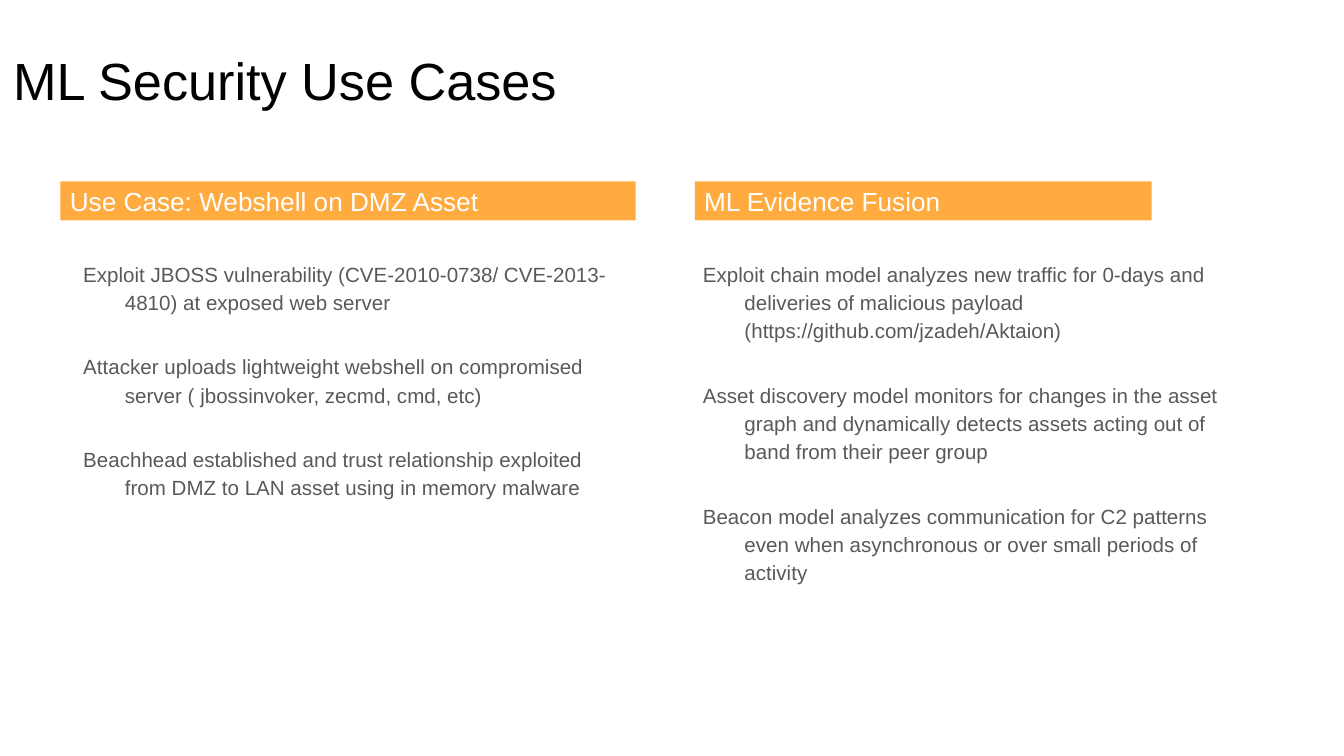
from pptx import Presentation
from pptx.dml.color import RGBColor
from pptx.enum.shapes import MSO_SHAPE
from pptx.enum.text import MSO_ANCHOR, PP_ALIGN
from pptx.util import Inches, Pt


def rgb(value):
    return RGBColor.from_string(value)


def add_run(p, text, size, color):
    r = p.add_run()
    r.text = text
    r.font.name = "Arial"
    r.font.size = Pt(size)
    r.font.color.rgb = rgb(color)


# 16:9 slide
prs = Presentation()
prs.slide_width = Inches(10)
prs.slide_height = Inches(10 * 9 / 16)
s = prs.slides.add_slide(prs.slide_layouts[6])

# Title
tf = s.shapes.add_textbox(Inches(0), Inches(0.26), Inches(10), Inches(0.52)).text_frame
tf.word_wrap = True
tf.margin_left = tf.margin_right = tf.margin_top = tf.margin_bottom = Inches(0.1)
add_run(tf.paragraphs[0], "ML Security Use Cases", 28, "000000")

# Columns: header left, header width, body left, header text, body paragraphs
columns = [
    (0.45, 4.28, 0.56, "Use Case: Webshell on DMZ Asset", [
        "Exploit JBOSS vulnerability (CVE-2010-0738/ CVE-2013-4810) at exposed web server",
        "Attacker uploads lightweight webshell on compromised server ( jbossinvoker, zecmd, cmd, etc)",
        "Beachhead established and trust relationship exploited from DMZ to LAN asset using in memory malware",
    ]),
    (5.17, 3.4, 5.17, "ML Evidence Fusion", [
        "Exploit chain model analyzes new traffic for 0-days and deliveries of malicious payload (https://github.com/jzadeh/Aktaion)",
        "Asset discovery model monitors for changes in the asset graph and dynamically detects assets acting out of band from their peer group",
        "Beacon model analyzes communication for C2 patterns even when asynchronous or over small periods of activity",
    ]),
]

for header_left, header_width, body_left, header, items in columns:
    # Header bar
    sp = s.shapes.add_shape(MSO_SHAPE.RECTANGLE, Inches(header_left), Inches(1.35),
                            Inches(header_width), Inches(0.29))
    sp.shadow.inherit = False
    sp.fill.solid()
    sp.fill.fore_color.rgb = rgb("FFAB40")
    sp.line.fill.background()
    sp.text_frame.vertical_anchor = MSO_ANCHOR.MIDDLE
    p = sp.text_frame.paragraphs[0]
    p.alignment = PP_ALIGN.LEFT
    p._p.get_or_add_pPr().set("marL", str(Inches(0.01)))
    add_run(p, header, 14, "FFFFFF")

    # Body text with hanging indent
    body = s.shapes.add_textbox(Inches(body_left), Inches(1.89), Inches(4.03), Inches(3.09))
    for tf in (sp.text_frame, body.text_frame):
        tf.word_wrap = True
        tf.margin_left = tf.margin_right = Inches(0.06)
        tf.margin_top = tf.margin_bottom = Inches(0.03)
    for i, item in enumerate(items):
        p = tf.add_paragraph() if i else tf.paragraphs[0]
        pPr = p._p.get_or_add_pPr()
        pPr.set("marL", str(Inches(0.31)))
        pPr.set("indent", str(-Inches(0.31)))
        p.line_spacing = 1.15
        p.space_before = Pt(3.3 if i else 0)
        p.space_after = Pt(16)
        add_run(p, item, 11, "595959")

prs.save("out.pptx")
